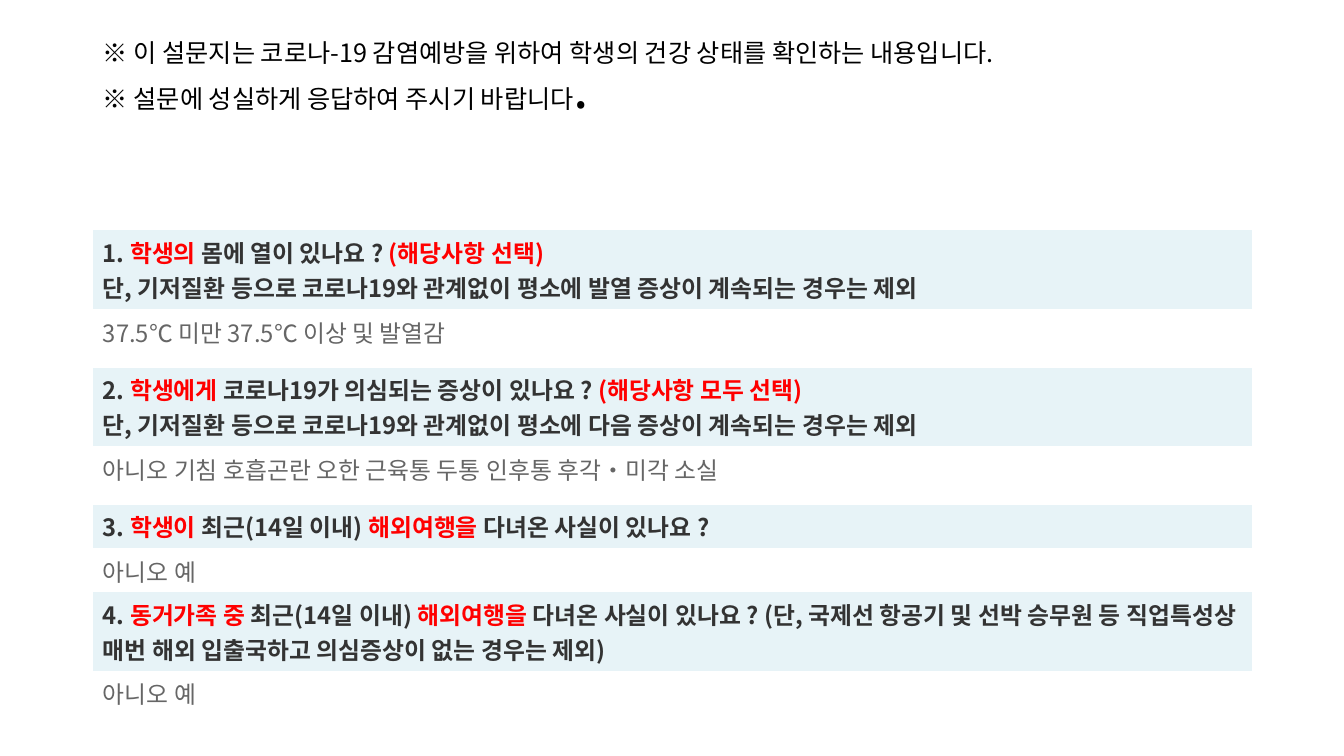
from copy import deepcopy
from dataclasses import dataclass

from pptx import Presentation
from pptx.dml.color import RGBColor
from pptx.enum.text import MSO_ANCHOR, MSO_AUTO_SIZE, PP_ALIGN
from pptx.oxml.ns import qn
from pptx.util import Emu, Pt

MIDDLE = MSO_ANCHOR.MIDDLE
LEFT = PP_ALIGN.LEFT
NO_FIT = MSO_AUTO_SIZE.NONE
PX = 9144  # 100 px to the inch
NBSP = chr(160)  # typed as ~ in the texts below


@dataclass(frozen=True)
class Theme:
    font: str = "Noto Sans CJK KR"
    notice: str = "000000"
    question: str = "333333"
    accent: str = "FF0000"
    answer: str = "666666"
    question_fill: str = "E7F3F7"
    answer_fill: str = "FFFFFF"
    notice_size: float = 18
    stop_size: float = 39.6
    table_size: float = 17


THEME = Theme()
MARGIN, WIDTH = 92, 1150
LINE_HEIGHTS = {1: 38, 2: 67}

NOTICE = ("※ 이 설문지는 코로나-19 감염예방을 위하여 학생의 건강 상태를 확인하는 내용입니다.\n"
          "※ 설문에 성실하게 응답하여 주시기 바랍니다")

# Top, lines in the question, question parts (every second one accented), answer
QUESTIONS = [
    (228, 2,
     ["1.~", "학생의", "~몸에 열이 있나요 ?~", "(해당사항 선택)\n",
      "단, 기저질환 등으로 코로나19와 관계없이 평소에 발열 증상이 계속되는 경우는 제외"],
     "37.5℃ 미만~37.5℃ 이상 및 발열감"),
    (364, 2,
     ["2.~", "학생에게", "~코로나19가 의심되는 증상이 있나요 ?~", "(해당사항 모두 선택)\n",
      "단, 기저질환 등으로 코로나19와 관계없이 평소에 다음 증상이 계속되는 경우는 제외"],
     "아니오~기침~호흡곤란~오한~근육통~두통~인후통~후각‧미각 소실"),
    (500, 1,
     ["3.~", "학생이", "~최근(14일 이내)~", "해외여행을", "~다녀온 사실이 있나요 ?"],
     "아니오~예"),
    (587, 2,
     ["4.~", "동거가족 중", "~최근(14일 이내)~", "해외여행을",
      "~다녀온 사실이 있나요 ? (단, 국제선 항공기 및 선박 승무원 등 "
      "직업특성상 매번 해외 입출국하고 의심증상이 없는 경우는 제외)"],
     "아니오~예"),
]


def px(n):
    return Emu(n * PX)


def set_attrs(obj, values):
    for name, value in values.items():
        setattr(obj, name, value)


def add_run(p, text, size, color, bold=False):
    """Add text to a paragraph; each newline becomes a line break."""
    for i, line in enumerate(text.replace("~", NBSP).split("\n")):
        if i:
            p.add_line_break()
            p._p[-1].append(deepcopy(r._r.rPr))
        if line:
            r = p.add_run()
            r.text = line
            set_attrs(r.font, {"name": THEME.font, "size": Pt(size), "bold": bold})
            r.font.color.rgb = RGBColor.from_string(color)
            ea = r._r.rPr.makeelement(qn("a:ea"), {"typeface": THEME.font})
            r._r.rPr.find(qn("a:latin")).addnext(ea)


def add_notice(s):
    title = s.shapes.title
    set_attrs(title, {"left": px(MARGIN), "top": px(40),
                      "width": px(WIDTH), "height": px(145)})
    tf = title.text_frame
    set_attrs(tf, {"word_wrap": True, "auto_size": NO_FIT, "vertical_anchor": MIDDLE,
                   "margin_left": px(10), "margin_right": px(10),
                   "margin_top": px(0), "margin_bottom": px(63)})
    p = tf.paragraphs[0]
    set_attrs(p, {"alignment": LEFT, "line_spacing": 0.77})
    add_run(p, NOTICE, THEME.notice_size, THEME.notice)
    add_run(p, ".", THEME.stop_size, THEME.notice)


def format_cell(cell, fill):
    set_attrs(cell, {"vertical_anchor": MIDDLE,
                     "margin_left": px(10), "margin_right": px(10),
                     "margin_top": px(5), "margin_bottom": px(5)})
    cell.fill.solid()
    cell.fill.fore_color.rgb = RGBColor.from_string(fill)
    return cell.text_frame.paragraphs[0]


def add_question(s, top, lines, parts, answer):
    heights = [LINE_HEIGHTS[lines], LINE_HEIGHTS[1]]
    table = s.shapes.add_table(2, 1, px(MARGIN), px(top),
                               px(WIDTH), px(sum(heights))).table
    set_attrs(table, {"first_row": False, "horz_banding": False})
    for row, height in zip(table.rows, heights):
        row.height = px(height)

    # Question row
    p = format_cell(table.cell(0, 0), THEME.question_fill)
    for i, part in enumerate(parts):
        color = THEME.accent if i % 2 else THEME.question
        add_run(p, part, THEME.table_size, color, bold=True)

    # Answer row
    p = format_cell(table.cell(1, 0), THEME.answer_fill)
    add_run(p, answer, THEME.table_size, THEME.answer)


def main():
    prs = Presentation()
    prs.slide_width, prs.slide_height = px(1333), px(750)
    s = prs.slides.add_slide(prs.slide_layouts[5])
    add_notice(s)
    for question in QUESTIONS:
        add_question(s, *question)
    prs.save("out.pptx")


if __name__ == "__main__":
    main()
